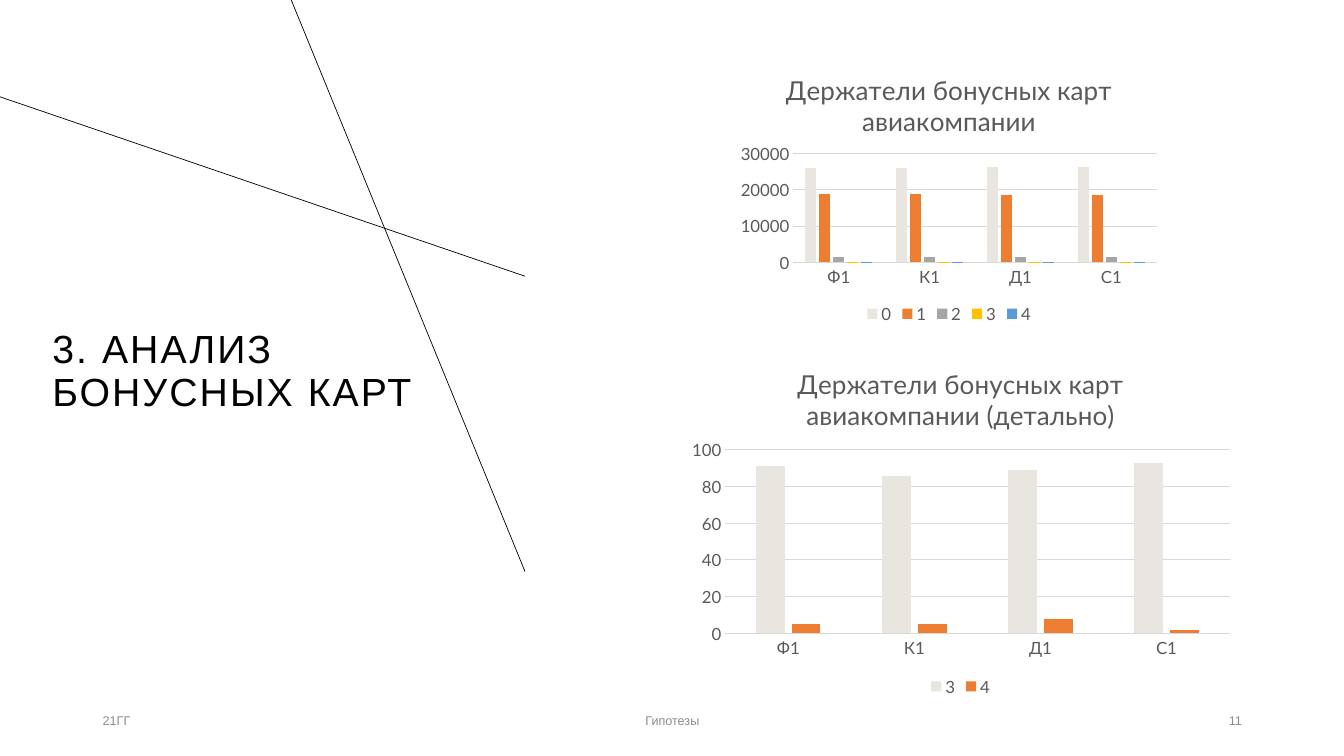
import pptx
import pptx.chart.data
import pptx.dml.color
import pptx.enum.chart
import pptx.enum.shapes
import pptx.enum.text
import pptx.oxml
import pptx.oxml.ns
import pptx.util
from dataclasses import dataclass

Cm = pptx.util.Cm
Pt = pptx.util.Pt
RGB = pptx.dml.color.RGBColor
Align = pptx.enum.text.PP_ALIGN
Anchor = pptx.enum.text.MSO_ANCHOR
Enum = pptx.enum.chart

BLACK = RGB(0x00, 0x00, 0x00)
GREY = RGB(0x8C, 0x8C, 0x8C)
DARK = RGB(0x59, 0x59, 0x59)
PALE = RGB(0xD9, 0xD9, 0xD9)
HUES = [
    RGB(0xE9, 0xE6, 0xDF),
    RGB(0xED, 0x7D, 0x31),
    RGB(0xA5, 0xA5, 0xA5),
    RGB(0xFF, 0xC0, 0x00),
    RGB(0x5B, 0x9B, 0xD5),
]
CODES = ["Ф1", "К1", "Д1", "С1"]
CARDS = {
    "0": [26000, 26100, 26200, 26200],
    "1": [18800, 18800, 18600, 18600],
    "2": [1500, 1500, 1500, 1500],
    "3": [91, 86, 89, 93],
    "4": [5, 5, 8, 2],
}


@dataclass
class Label:
    text: str
    box: tuple
    size: float = 9
    color: RGB = GREY
    align: Align = Align.LEFT
    anchor: Anchor = Anchor.MIDDLE
    lead: float = 1.0
    space: float = 0


@dataclass
class Graph:
    title: str
    box: tuple
    names: list
    top: float
    step: float
    plot: tuple  # x, y, w, h as shares of the chart


LINES = [((13.23, 6.96), (0, 2.44)), ((13.23, 14.4), (7.34, 0))]
LABELS = [
    Label("3. АНАЛИЗ \vБОНУСНЫХ КАРТ", (1.07, 5.92, 10.82, 4.65), 28, BLACK,
          anchor=Anchor.BOTTOM, lead=0.9, space=1.5),
    Label("21ГГ", (2.34, 17.65, 7.62, 1.02)),
    Label("Гипотезы", (11.23, 17.65, 11.43, 1.02), align=Align.CENTER),
    Label("11", (23.93, 17.65, 7.62, 1.02), align=Align.RIGHT),
]
GRAPHS = [
    Graph("Держатели бонусных карт авиакомпании", (18.47, 1.4, 10.9, 6.86),
          list(CARDS), 30000, 10000, (0.14, 0.36, 0.84, 0.4)),
    Graph("Держатели бонусных карт авиакомпании (детально)",
          (17.15, 8.76, 14.12, 8.89), ["3", "4"], 100, 20,
          (0.08, 0.29, 0.9, 0.52)),
]


def lengths(box: tuple) -> list:
    return [Cm(side) for side in box]


def style(font, size: float, color: RGB, face: str = "Lato") -> None:
    font.size = Pt(size)
    font.name = face
    font.bold = False
    font.color.rgb = color


def add_line(slide, start: tuple, end: tuple) -> None:
    kind = pptx.enum.shapes.MSO_CONNECTOR.STRAIGHT
    line = slide.shapes.add_connector(kind, *lengths(start + end))
    line.line.color.rgb = BLACK
    line.line.width = Pt(0.5)
    props = line._element.spPr
    props.append(props.makeelement(pptx.oxml.ns.qn("a:effectLst"), {}))


def add_label(slide, label: Label) -> None:
    frame = slide.shapes.add_textbox(*lengths(label.box)).text_frame
    frame.word_wrap = True
    frame.vertical_anchor = label.anchor
    par = frame.paragraphs[0]
    par.text = label.text
    par.alignment = label.align
    par.line_spacing = label.lead
    style(par.font, label.size, label.color, "Arial")
    if label.space:
        base = par._p.get_or_add_pPr().get_or_add_defRPr()
        base.set("spc", str(int(label.space * 100)))


def place_plot(chart, plot: tuple) -> None:
    """Fix the inner plot area at the given shares of the chart."""
    parts = "".join(f'<c:{key} val="{val}"/>' for key, val in zip("xywh", plot))
    layout = pptx.oxml.parse_xml(
        f'<c:layout {pptx.oxml.ns.nsdecls("c")}><c:manualLayout>'
        '<c:layoutTarget val="inner"/><c:xMode val="edge"/>'
        f'<c:yMode val="edge"/>{parts}</c:manualLayout></c:layout>')
    area = chart._chartSpace.chart.plotArea
    for old in area.findall(pptx.oxml.ns.qn("c:layout")):
        area.remove(old)
    area.insert(0, layout)


def add_graph(slide, graph: Graph) -> None:
    data = pptx.chart.data.CategoryChartData()
    data.categories = CODES
    for name in graph.names:
        data.add_series(name, CARDS[name])
    kind = Enum.XL_CHART_TYPE.COLUMN_CLUSTERED
    chart = slide.shapes.add_chart(kind, *lengths(graph.box), data).chart
    style(chart.font, 10, BLACK)

    par = chart.chart_title.text_frame.paragraphs[0]
    par.text = graph.title
    style(par.font, 18.6, DARK)
    chart.chart_title.include_in_layout = False

    chart.has_legend = True
    chart.legend.position = Enum.XL_LEGEND_POSITION.BOTTOM
    chart.legend.include_in_layout = False
    style(chart.legend.font, 12, DARK)

    cats, vals = chart.category_axis, chart.value_axis
    for axis in (cats, vals):
        axis.major_tick_mark = Enum.XL_TICK_MARK.NONE
        axis.minor_tick_mark = Enum.XL_TICK_MARK.NONE
        style(axis.tick_labels.font, 12, DARK)
    vals.has_major_gridlines = True
    for line in (cats.format.line, vals.major_gridlines.format.line):
        line.color.rgb = PALE
        line.width = Pt(0.75)
    vals.format.line.fill.background()
    vals.minimum_scale = 0
    vals.maximum_scale = graph.top
    vals.major_unit = graph.step

    bars = chart.plots[0]
    bars.vary_by_categories = False
    bars.gap_width = 219
    bars.overlap = -27
    for row, hue in zip(bars.series, HUES):
        row.format.fill.solid()
        row.format.fill.fore_color.rgb = hue
    place_plot(chart, graph.plot)


def main() -> None:
    deck = pptx.Presentation()
    deck.slide_width = Cm(33.87)
    deck.slide_height = Cm(19.05)
    slide = deck.slides.add_slide(deck.slide_layouts[6])
    for start, end in LINES:
        add_line(slide, start, end)
    for label in LABELS:
        add_label(slide, label)
    for graph in GRAPHS:
        add_graph(slide, graph)
    deck.save("out.pptx")


if __name__ == "__main__":
    main()
